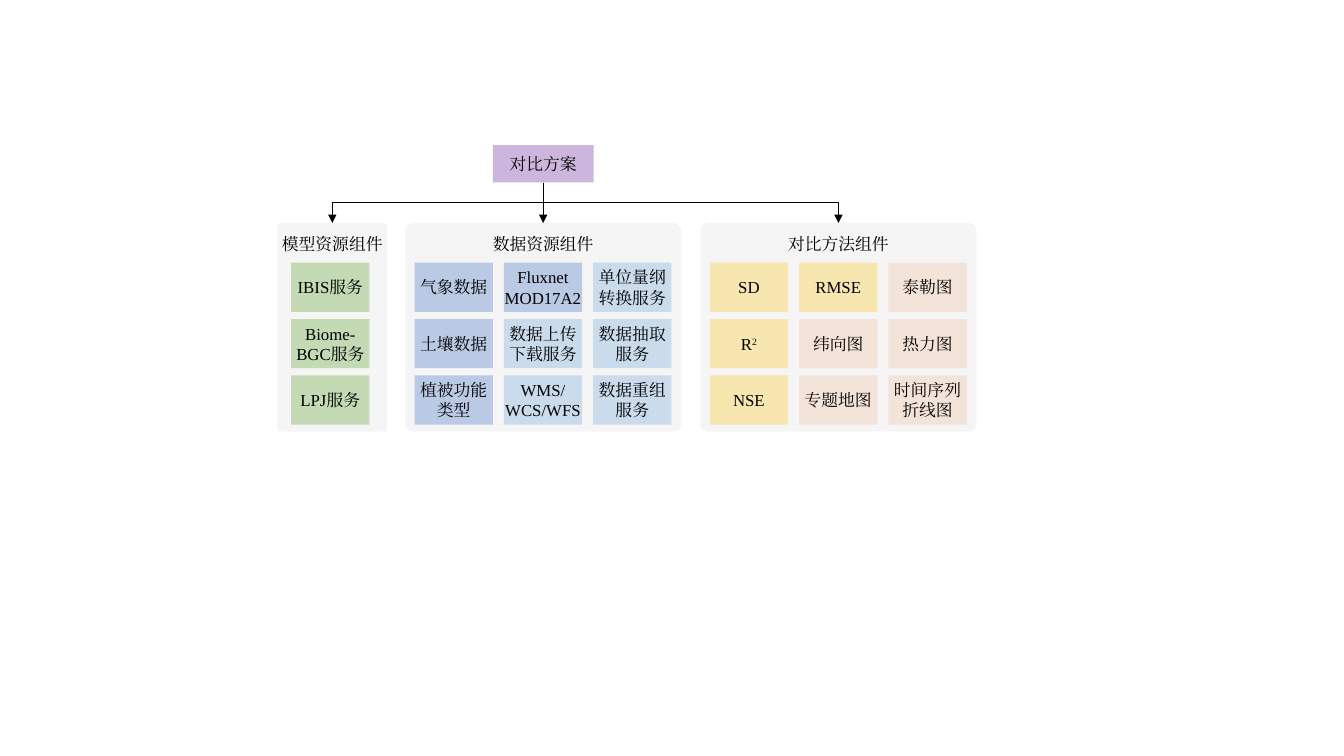
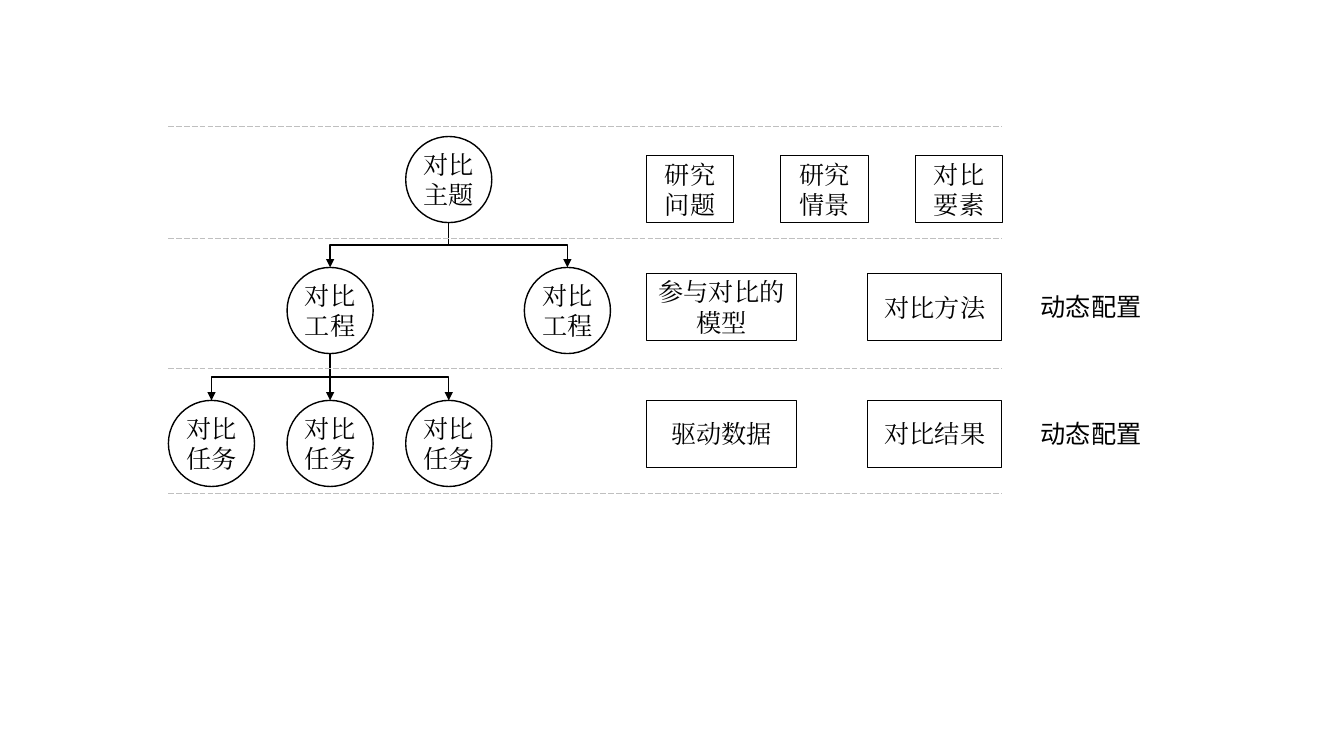
from lxml.etree import SubElement
from pptx import Presentation
from pptx.dml.color import RGBColor
from pptx.enum.dml import MSO_LINE
from pptx.enum.shapes import MSO_CONNECTOR as LINK, MSO_SHAPE as SHAPE
from pptx.enum.text import MSO_ANCHOR as ANCHOR, MSO_AUTO_SIZE as FIT, PP_ALIGN as ALIGN
from pptx.oxml.ns import qn
from pptx.util import Cm, Pt

COLORS = {
    "ink": "000000", "paper": "FFFFFF", "divider": "BFBFBF", "panel": "A5A5A5",
    "scheme": "7030A0", "model": "70AD47", "data": "4472C4", "service": "5B9BD5",
    "metric": "FFC000", "chart": "F4B183",
}
ALPHA = {"panel": 10, "scheme": 35, "model": 37, "data": 33, "service": 28,
         "metric": 28, "chart": 25}
SERIF, SANS = "Times New Roman", "Noto Sans CJK SC"


class Diagram:
    """Holds the shared style and the slide being drawn."""

    def __init__(self):
        self.deck = Presentation()
        self.deck.slide_width, self.deck.slide_height = Cm(33.87), Cm(19.05)
        self.size = 12

    def new_slide(self, size):
        self.slide = self.deck.slides.add_slide(self.deck.slide_layouts[6])
        self.size = size

    def fill_text(self, frame, text, font):
        for index, line in enumerate(text.split("\n")):
            paragraph = frame.paragraphs[0] if index == 0 else frame.add_paragraph()
            paragraph.alignment = ALIGN.CENTER
            for position, part in enumerate(line.split("^")):
                run = paragraph.add_run()
                run.text = part
                run.font.size = Pt(self.size)
                run.font.color.rgb = RGBColor.from_string(COLORS["ink"])
                run.font.name = font
                properties = run.font._element
                SubElement(properties, qn("a:ea"), typeface=font)
                if position:
                    properties.set("baseline", "30000")

    def label(self, center, top, width, height, text, font=SERIF):
        box = self.slide.shapes.add_textbox(
            Cm(center - width / 2), Cm(top), Cm(width), Cm(height))
        frame = box.text_frame
        frame.word_wrap = False
        frame.auto_size = FIT.SHAPE_TO_FIT_TEXT
        self.fill_text(frame, text, font)

    def block(self, kind, left, top, width, height, text="", fill=None,
              line=None, inset=(0.25, 0.13)):
        block = self.slide.shapes.add_shape(kind, Cm(left), Cm(top), Cm(width), Cm(height))
        block.shadow.inherit = False
        if fill:
            block.fill.solid()
            block.fill.fore_color.rgb = RGBColor.from_string(COLORS[fill])
            if fill in ALPHA:
                color = block._element.spPr.find(qn("a:solidFill"))[0]
                SubElement(color, qn("a:alpha"), val=str(ALPHA[fill] * 1000))
        else:
            block.fill.background()
        if line:
            block.line.color.rgb = RGBColor.from_string(COLORS["ink"])
            block.line.width = Pt(line)
        else:
            block.line.fill.background()
        if text:
            frame = block.text_frame
            frame.word_wrap = True
            frame.vertical_anchor = ANCHOR.MIDDLE
            frame.margin_left = frame.margin_right = Cm(inset[0])
            frame.margin_top = frame.margin_bottom = Cm(inset[1])
            self.fill_text(frame, text, SERIF)
        return block

    def panel(self, left, top, width, height, title, corner):
        back = self.block(SHAPE.ROUNDED_RECTANGLE, left, top, width, height, fill="panel")
        back.adjustments[0] = corner
        self.label(left + width / 2, top + 0.14, 3.07, 0.77, title)

    def link(self, kind, start, end, weight, color="ink"):
        link = self.slide.shapes.add_connector(kind, *map(Cm, start + end))
        link.line.color.rgb = RGBColor.from_string(COLORS[color])
        link.line.width = Pt(weight)
        SubElement(link._element.spPr, qn("a:effectLst"))
        return link

    def arrow(self, start, end, weight):
        (x1, y1), (x2, y2) = start, end
        across, down = x2 - x1, y2 - y1
        if abs(across) < 0.01:
            arrow = self.link(LINK.STRAIGHT, start, end, weight)
        else:
            x, y = (x1 + x2) / 2, (y1 + y2) / 2
            half = down / 2 if across < 0 else -down / 2
            reach = abs(across) / 2
            arrow = self.link(LINK.ELBOW, (x - half, y - reach), (x + half, y + reach), weight)
            turn = 90 if across < 0 else 270
            arrow._element.spPr.find(qn("a:xfrm")).set("rot", str(turn * 60000))
        outline = arrow._element.spPr.find(qn("a:ln"))
        SubElement(outline, qn("a:tailEnd"), type="triangle")

    def divider(self, left, right, y):
        rule = self.link(LINK.STRAIGHT, (left, y), (right, y), 0.5, "divider")
        rule.line.dash_style = MSO_LINE.LONG_DASH


def draw_components(diagram):
    diagram.new_slide(12)
    panel_top, panel_height = 5.62, 5.26
    cell_width, cell_height, column_step, row_step = 1.97, 1.24, 2.25, 1.42
    root_center, root_bottom = 13.69, 4.6
    components = [
        ("模型资源组件", 6.99, 2.77, 0.35, 0.031, [
            [("model", "IBIS服务")],
            [("model", "Biome-BGC服务")],
            [("model", "LPJ服务")]]),
        ("数据资源组件", 10.21, 6.96, 0.24, 0.037, [
            [("data", "气象数据"), ("data", "Fluxnet\nMOD17A2"), ("service", "单位量纲转换服务")],
            [("data", "土壤数据"), ("service", "数据上传下载服务"), ("service", "数据抽取服务")],
            [("data", "植被功能类型"), ("service", "WMS/\nWCS/WFS"), ("service", "数据重组服务")]]),
        ("对比方法组件", 17.65, 6.96, 0.24, 0.037, [
            [("metric", "SD"), ("metric", "RMSE"), ("chart", "泰勒图")],
            [("metric", "R^2"), ("chart", "纬向图"), ("chart", "热力图")],
            [("metric", "NSE"), ("chart", "专题地图"), ("chart", "时间序列折线图")]]),
    ]
    diagram.block(SHAPE.RECTANGLE, root_center - 1.27, root_bottom - 0.94, 2.54, 0.94,
                  "对比方案", "scheme")
    for title, left, width, margin, corner, rows in components:
        diagram.panel(left, panel_top, width, panel_height, title, corner)
        for row, cells in enumerate(rows):
            for column, (color, text) in enumerate(cells):
                diagram.block(SHAPE.RECTANGLE, left + margin + column * column_step,
                              panel_top + 1 + row * row_step, cell_width, cell_height,
                              text, color, inset=(0, 0))
        diagram.arrow((root_center, root_bottom), (left + width / 2, panel_top), 0.5)


def draw_levels(diagram):
    diagram.new_slide(18)
    diameter, first_center, step = 2.17, 5.33, 2.99
    topic_top, project_top, task_top = 3.44, 6.74, 10.09
    nodes = [("对比\n主题", topic_top, [2]),
             ("对比工程", project_top, [1, 3]),
             ("对比任务", task_top, [0, 1, 2])]
    for text, top, columns in nodes:
        for column in columns:
            diagram.block(SHAPE.OVAL, first_center + column * step - diameter / 2, top,
                          diameter, diameter, text, "paper", 1, (0, 0.13))
    for parent, parent_top, children, child_top in [
            (2, topic_top, [1, 3], project_top), (1, project_top, [0, 1, 2], task_top)]:
        for child in children:
            diagram.arrow((first_center + parent * step, parent_top + diameter),
                          (first_center + child * step, child_top), 1)
    for y in (3.19, 6.01, 9.29, 12.43):
        diagram.divider(4.24, 25.25, y)

    first, last, height = 16.29, 21.87, 1.69
    levels = [
        (3.92, [(first, 2.2, "研究问题"), (first + 3.39, 2.2, "研究情景"),
                (first + 6.78, 2.2, "对比要素")]),
        (6.89, [(first, 3.79, "参与对比的模型"), (last, 3.38, "对比方法")]),
        (10.09, [(first, 3.79, "驱动数据"), (last, 3.38, "对比结果")]),
    ]
    for top, aspects in levels:
        for left, width, text in aspects:
            diagram.block(SHAPE.RECTANGLE, left, top, width, height, text, line=0.75)
    for top, _ in levels[1:]:
        diagram.label(27.5, top + 0.33, 3.07, 1.02, "动态配置", SANS)


def main():
    diagram = Diagram()
    draw_components(diagram)
    draw_levels(diagram)
    diagram.deck.save("out.pptx")


if __name__ == "__main__":
    main()
